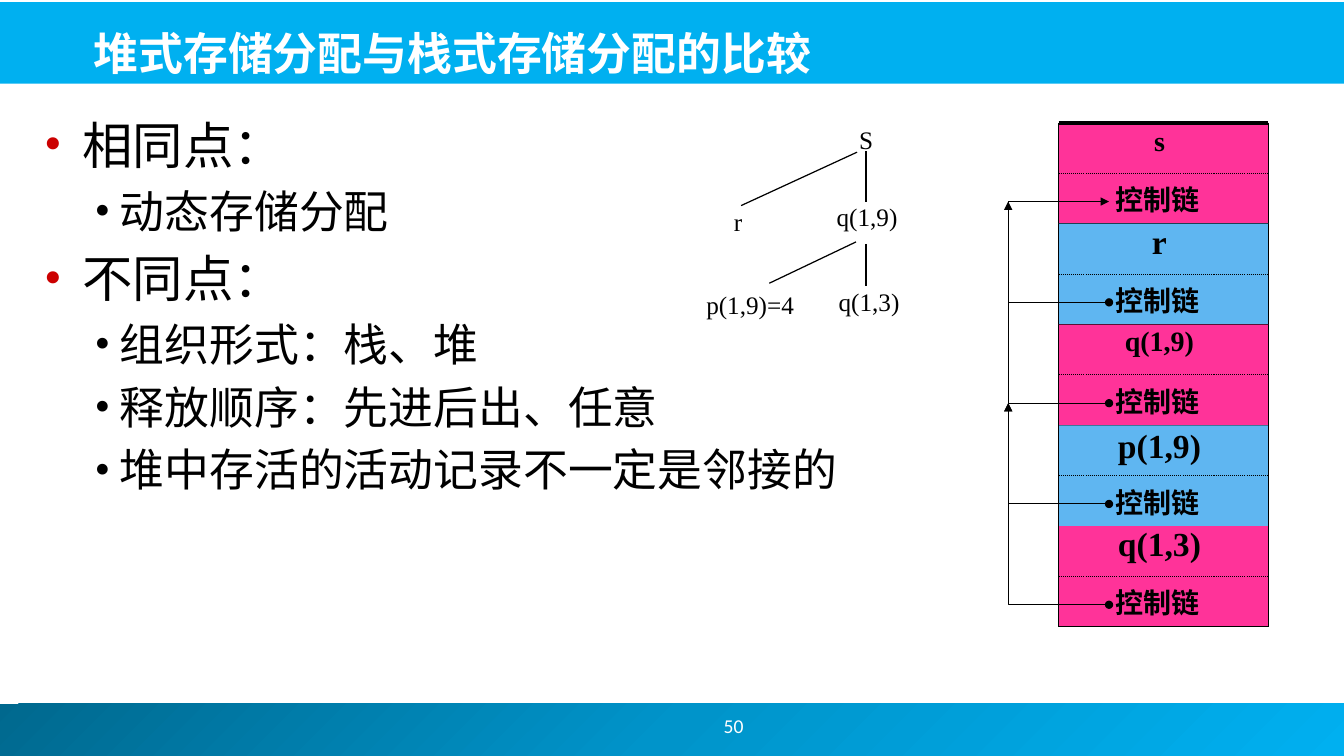
import copy
import math
from dataclasses import dataclass

from lxml import etree
from pptx import Presentation
from pptx.dml.color import RGBColor
from pptx.enum.dml import MSO_LINE
from pptx.enum.shapes import MSO_CONNECTOR, MSO_SHAPE
from pptx.enum.text import MSO_ANCHOR, PP_ALIGN
from pptx.oxml.ns import qn
from pptx.util import Inches, Pt

STRAIGHT = MSO_CONNECTOR.STRAIGHT
RECTANGLE = MSO_SHAPE.RECTANGLE
DOTTED = MSO_LINE.ROUND_DOT
LEFT, CENTER = PP_ALIGN.LEFT, PP_ALIGN.CENTER
TOP, MIDDLE, BOTTOM = MSO_ANCHOR.TOP, MSO_ANCHOR.MIDDLE, MSO_ANCHOR.BOTTOM


@dataclass(frozen=True)
class Theme:
    black: str = "000000"
    white: str = "FFFFFF"
    banner: str = "00B0F0"
    footer: tuple = ("00688E", "0094CA", "00B0F0")
    bullet: str = "CC0000"
    pink: str = "FF3399"
    blue: str = "5FB6F1"
    serif: str = "Times New Roman"
    sans: str = "Calibri"
    cjk: str = "Noto Sans CJK JP"
    title: int = 32
    point: int = 36
    subpoint: int = 32
    large: int = 24
    label: int = 20
    tree: int = 18
    number: int = 14
    thin: float = 0.75
    branch: float = 0.88
    thick: float = 3


THEME = Theme()

POINTS = [
    (0, "相同点："),
    (1, "动态存储分配"),
    (0, "不同点："),
    (1, "组织形式：栈、堆"),
    (1, "释放顺序：先进后出、任意"),
    (1, "堆中存活的活动记录不一定是邻接的"),
]
# Text with its centre
TREE_LABELS = [
    ("S", 8.59, 1.38),
    ("r", 7.32, 2.2),
    ("q(1,9)", 8.6, 2.15),
    ("p(1,9)=4", 7.44, 3.02),
    ("q(1,3)", 8.62, 2.99),
]
TREE_BRANCHES = [
    ((7.35, 2.04), (8.5, 1.51)),
    ((8.59, 1.5), (8.59, 2)),
    ((7.63, 2.81), (8.49, 2.4)),
    ((8.59, 2.42), (8.59, 2.84)),
]
# Name, type size and distance of the name's centre from the record's top
RECORDS = [
    ("s", THEME.label, 0.17),
    ("r", THEME.large, 0.17),
    ("q(1,9)", THEME.label, 0.16),
    ("p(1,9)", THEME.large, 0.2),
    ("q(1,3)", THEME.large, 0.17),
]
STACK_LEFT, STACK_TOP, STACK_WIDTH, RECORD_HEIGHT = 10.5, 1.22, 2.08, 1
# Ellipse centre, radii, start point and end point
CONTROL_LINKS = [
    ((10.61, 2.57), (0.33, 0.48), (10.66, 3.04), (10.48, 2.13)),
    ((10.58, 2.96), (0.67, 0.92), (10.69, 3.87), (10.52, 2.05)),
    ((10.51, 4.59), (0.27, 0.38), (10.58, 4.96), (10.49, 4.22)),
    ((10.64, 5.08), (0.73, 0.97), (10.68, 6.05), (10.49, 4.13)),
]


def color(code):
    return RGBColor.from_string(code)


def format_span(span, size, ink=THEME.black, font=THEME.serif, bold=False):
    span.font.size = Pt(size)
    span.font.name = font
    span.font.bold = bold
    span.font.color.rgb = color(ink)
    latin = span.font._element.find(qn("a:latin"))
    east_asian = etree.Element(qn("a:ea"), typeface=THEME.cjk)
    latin.addnext(east_asian)


def add_box(page, left, top, width, height, anchor=TOP, inset=None):
    box = page.shapes.add_textbox(Inches(left), Inches(top), Inches(width), Inches(height))
    frame = box.text_frame
    frame.word_wrap = True
    frame.vertical_anchor = anchor
    if inset is not None:
        frame.margin_left = frame.margin_right = Inches(inset)
        frame.margin_top = frame.margin_bottom = Inches(inset)
    return frame


def add_text(page, text, *area, align=CENTER, anchor=MIDDLE, inset=None, **style):
    para = add_box(page, *area, anchor=anchor, inset=inset).paragraphs[0]
    para.alignment = align
    span = para.add_run()
    span.text = text
    format_span(span, **style)


def add_label(page, text, x, y, size, bold=False, width=1.1, height=0.3):
    """Place a text around the centre x, y."""
    add_text(page, text, x - width / 2, y - height / 2, width, height,
             inset=0, size=size, bold=bold)


def add_rectangle(page, left, top, width, height, fill=None):
    shape = page.shapes.add_shape(
        RECTANGLE, Inches(left), Inches(top), Inches(width), Inches(height))
    shape.shadow.inherit = False
    shape.line.fill.background()
    if fill:
        shape.fill.solid()
        shape.fill.fore_color.rgb = color(fill)
    return shape


def add_line(page, start, end, weight=THEME.thin):
    line = page.shapes.add_connector(STRAIGHT, *(Inches(value) for value in (*start, *end)))
    line.line.color.rgb = color(THEME.black)
    line.line.width = Pt(weight)
    etree.SubElement(line._element.spPr, qn("a:effectLst"))
    return line


def add_footer(page):
    band = add_rectangle(page, -0.05, 6.98, 13.39, 0.52)
    band.fill.gradient()
    band.fill.gradient_angle = 315
    first = band._element.spPr.find(".//" + qn("a:gs"))
    first.addnext(copy.deepcopy(first))
    for stop, code, position in zip(band.fill.gradient_stops, THEME.footer, (0, 0.5, 1)):
        stop.color.rgb = color(code)
        stop.position = position
    add_text(page, "50", 5.83, 6.95, 2.89, 0.5,
             size=THEME.number, ink=THEME.white, font=THEME.sans)


def add_bullet(para, ink, margin, hanging):
    properties = para._p.get_or_add_pPr()
    properties.set("marL", str(Inches(margin)))
    properties.set("indent", str(-Inches(hanging)))
    bullet_color = etree.SubElement(properties, qn("a:buClr"))
    etree.SubElement(bullet_color, qn("a:srgbClr"), val=ink)
    etree.SubElement(properties, qn("a:buFont"), typeface=THEME.serif)
    etree.SubElement(properties, qn("a:buChar"), char="•")


def add_points(page):
    frame = add_box(page, 0.34, 1.08, 8.49, 5.44)
    levels = [(THEME.point, THEME.bullet, 0.38, 0.38),
              (THEME.subpoint, THEME.black, 0.75, 0.25)]
    for index, (level, text) in enumerate(POINTS):
        size, ink, margin, hanging = levels[level]
        para = frame.add_paragraph() if index else frame.paragraphs[0]
        para.level = level
        para.line_spacing = Pt(size * 1.2)
        para.space_before = Pt(size * 0.2) if index else Pt(0)
        add_bullet(para, ink, margin, hanging)
        span = para.add_run()
        span.text = text
        format_span(span, size)


def add_call_tree(page):
    for text, x, y in TREE_LABELS:
        add_label(page, text, x, y, THEME.tree)
    for start, end in TREE_BRANCHES:
        add_line(page, start, end, THEME.branch)


def add_record(page, top, name, size, name_offset, fill):
    right, bottom = STACK_LEFT + STACK_WIDTH, top + RECORD_HEIGHT
    middle = top + RECORD_HEIGHT / 2
    record = add_rectangle(page, STACK_LEFT, top, STACK_WIDTH, RECORD_HEIGHT, fill)
    divider = add_line(page, (STACK_LEFT, middle), (right, middle))
    divider.line.dash_style = DOTTED
    divider.begin_connect(record, 1)
    divider.end_connect(record, 3)
    for x in (STACK_LEFT, right):
        add_line(page, (x, top), (x, bottom))
    add_line(page, (STACK_LEFT, bottom), (right, bottom))
    add_label(page, name, 11.5, top + name_offset, size, bold=True)
    add_label(page, "控制链", 11.48, top + 0.76, THEME.label, bold=True)


def add_control_link(page, center, radii, start, end):
    """Draw an elliptic arc from a dot at start to an arrowhead at end."""
    def angle(point):
        return math.atan2((point[1] - center[1]) / radii[1], (point[0] - center[0]) / radii[0])

    first, steps = angle(start), 32
    sweep = (angle(end) - first) % math.tau
    turns = [first + sweep * step / steps for step in range(steps + 1)]
    points = [(center[0] + radii[0] * math.cos(turn), center[1] + radii[1] * math.sin(turn))
              for turn in turns]
    builder = page.shapes.build_freeform(*points[0], scale=float(Inches(1)))
    builder.add_line_segments(points[1:], close=False)
    arc = builder.convert_to_shape()
    arc.shadow.inherit = False
    arc.fill.background()
    arc.line.color.rgb = color(THEME.black)
    arc.line.width = Pt(THEME.thin)
    outline = arc._element.spPr.find(qn("a:ln"))
    etree.SubElement(outline, qn("a:headEnd"), type="oval")
    etree.SubElement(outline, qn("a:tailEnd"), type="triangle")


def add_stack(page):
    for index, record in enumerate(RECORDS):
        fill = THEME.blue if index % 2 else THEME.pink
        add_record(page, STACK_TOP + index * RECORD_HEIGHT, *record, fill)
    add_line(page, (STACK_LEFT, STACK_TOP), (STACK_LEFT + STACK_WIDTH, STACK_TOP), THEME.thick)
    for link in CONTROL_LINKS:
        add_control_link(page, *link)


def main():
    deck = Presentation()
    deck.slide_width, deck.slide_height = Inches(13.33), Inches(7.5)
    page = deck.slides.add_slide(deck.slide_layouts[6])
    add_footer(page)
    add_rectangle(page, -0.02, 0.02, 13.36, 0.81, THEME.banner)
    add_text(page, "堆式存储分配与栈式存储分配的比较", 0.83, 0.05, 11.81, 0.79, align=LEFT,
             anchor=BOTTOM, size=THEME.title, ink=THEME.white, font=THEME.cjk, bold=True)
    add_points(page)
    add_call_tree(page)
    add_stack(page)
    deck.save("out.pptx")


if __name__ == "__main__":
    main()
